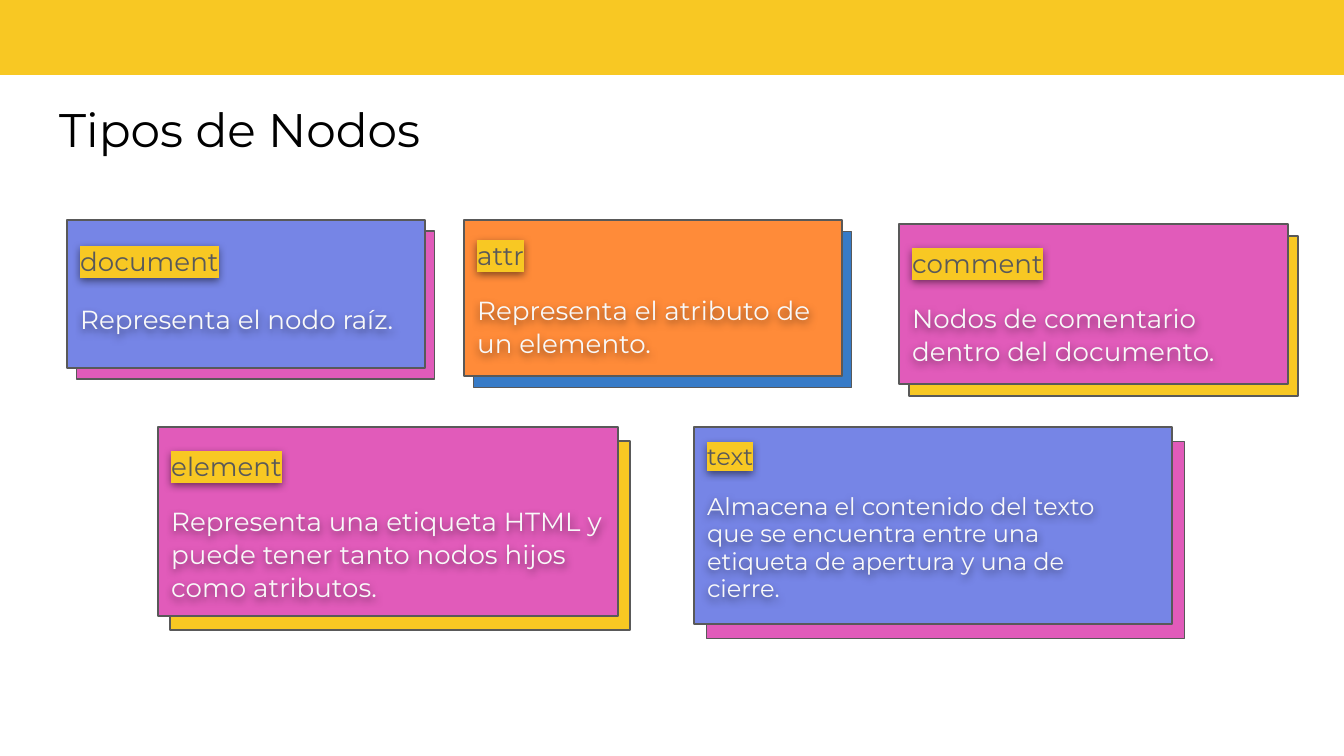
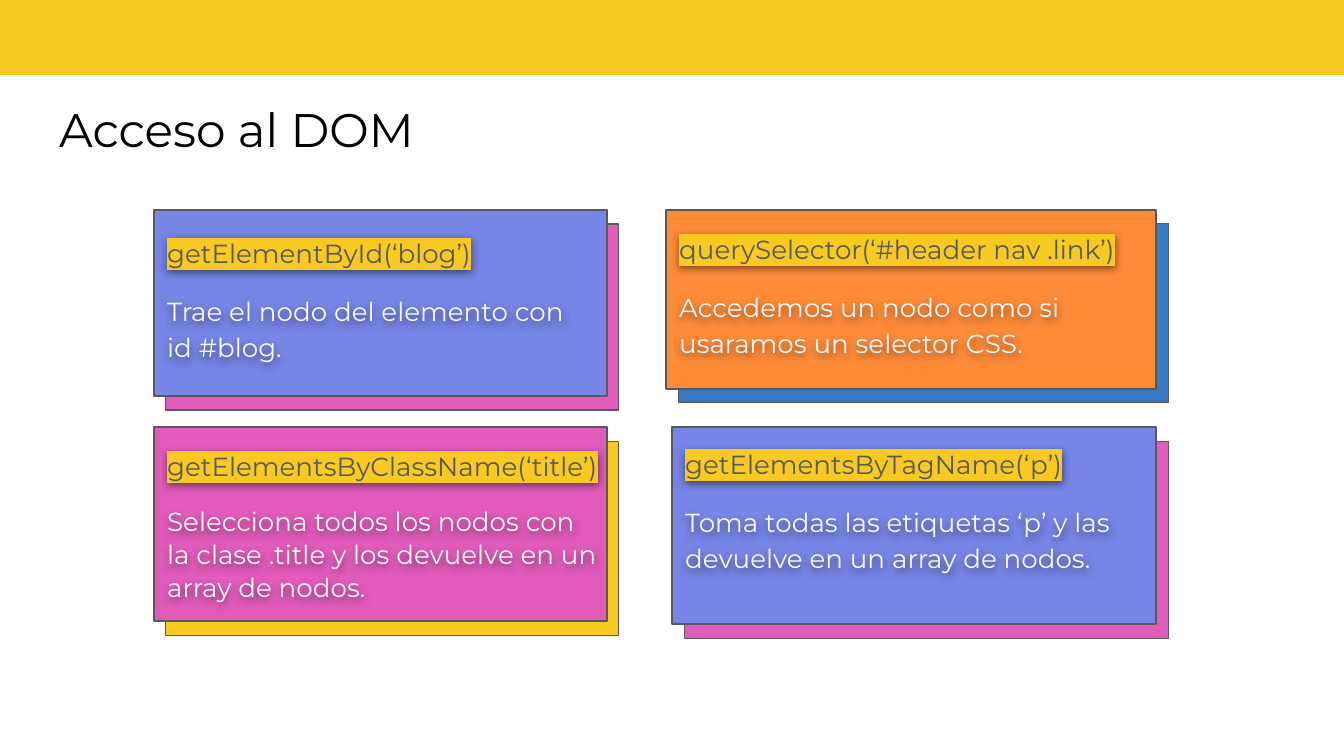
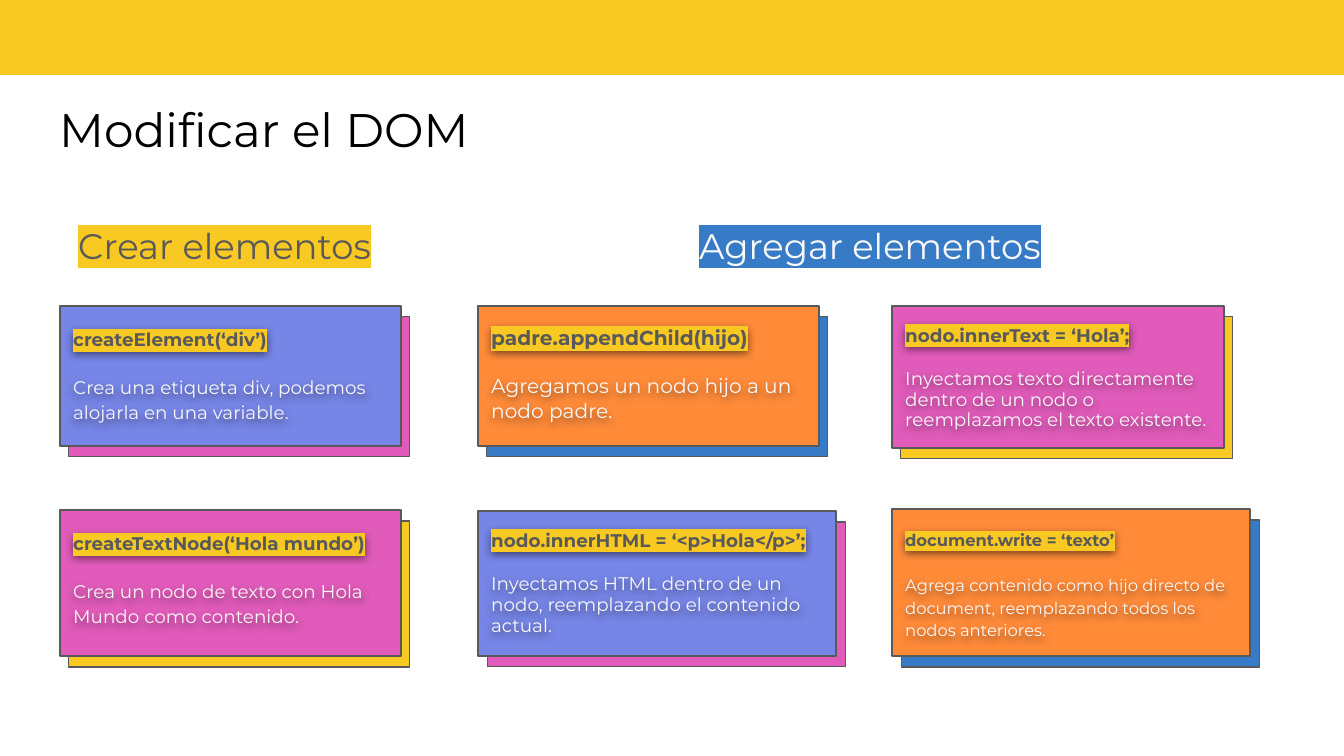
from lxml import etree
from pptx import Presentation
from pptx.dml.color import RGBColor
from pptx.enum.shapes import MSO_SHAPE
from pptx.oxml.ns import qn
from pptx.util import Pt

RECTANGLE = MSO_SHAPE.RECTANGLE
PIXEL = 914400 / 134.4
FONT = "Montserrat"
YELLOW, PINK, VIOLET = "F8C823", "E15BBA", "7685E6"
ORANGE, BLUE, GRAY = "FF8B39", "377BC7", "595959"
WHITE, BLACK = "F9F9F9", "000000"
BACK_COLOR = {VIOLET: PINK, PINK: YELLOW, ORANGE: BLUE}

# Card: term, meaning, front colour, front box, text drop, text width, size, spacing
# Heading: words, box, text colour, highlight
SLIDES = [
    {"title": "Tipos de Nodos", "bold": False, "headings": [], "cards": [
        ("document", "Representa el nodo raíz.",
         VIOLET, (67, 220, 358, 148), 7, 358, 14, 1.15),
        ("element", "Representa una etiqueta HTML y puede tener tanto nodos hijos "
         "como atributos.", PINK, (158, 427, 460, 189), 8, 460, 14, 1.05),
        ("attr", "Representa el atributo de un elemento.",
         ORANGE, (464, 220, 378, 156), 4, 378, 14, 1.05),
        ("text", "Almacena el contenido del texto que se encuentra entre una "
         "etiqueta de apertura y una de cierre.",
         VIOLET, (694, 427, 478, 197), 3, 456, 12.9, 0.95),
        ("comment", "Nodos de comentario dentro del documento.",
         PINK, (899, 224, 389, 160), 8, 389, 14, 1.05),
    ]},
    {"title": "Acceso al DOM", "bold": False, "headings": [], "cards": [
        ("getElementById(‘blog’)", "Trae el nodo del elemento con id #blog.",
         VIOLET, (154, 210, 453, 186), 9, 453, 14, 1.15),
        ("getElementsByClassName(‘title’)", "Selecciona todos los nodos con la "
         "clase .title y los devuelve en un array de nodos.",
         PINK, (154, 427, 453, 194), 8, 461, 14, 1.05),
        ("querySelector(‘#header nav .link’)", "Accedemos un nodo como si usaramos "
         "un selector CSS.", ORANGE, (666, 210, 490, 179), 5, 490, 14, 1.15),
        ("getElementsByTagName(‘p’)", "Toma todas las etiquetas ‘p’ y las devuelve "
         "en un array de nodos.", VIOLET, (672, 427, 484, 197), 3, 461, 14, 1.15),
    ]},
    {"title": "Modificar el DOM", "bold": True, "headings": [
        ("Crear elementos", (65, 204, 333, 70), GRAY, YELLOW),
        ("Agregar elementos", (686, 204, 384, 70), WHITE, BLUE),
    ], "cards": [
        ("createElement(‘div’)", "Crea una etiqueta div, podemos alojarla en una "
         "variable.", VIOLET, (60, 306, 341, 140), 6, 341, 9.8, 1.15),
        ("createTextNode(‘Hola mundo’)", "Crea un nodo de texto con Hola Mundo como "
         "contenido.", PINK, (60, 510, 341, 146), 6, 347, 9.8, 1.15),
        ("padre.appendChild(hijo)", "Agregamos un nodo hijo a un nodo padre.",
         ORANGE, (478, 306, 341, 140), 5, 333, 10.8, 1.05),
        ("nodo.innerHTML = ‘<p>Hola</p>’;", "Inyectamos HTML dentro de un nodo, "
         "reemplazando el contenido actual.",
         VIOLET, (478, 511, 358, 145), 6, 358, 9.8, 0.95),
        ("nodo.innerText = ‘Hola’;", "Inyectamos texto directamente dentro de un "
         "nodo o reemplazamos el texto existente.",
         PINK, (892, 306, 332, 142), 6, 337, 9.8, 0.95),
        ("document.write = ‘texto’", "Agrega contenido como hijo directo de "
         "document, reemplazando todos los nodos anteriores.",
         ORANGE, (892, 509, 358, 147), 5, 355, 8.8, 1.15),
    ]},
]


def px(length):
    return round(length * PIXEL)


def rgb(color):
    return RGBColor.from_string(color)


def add_box(slide, box, fill, line=None):
    rect = slide.shapes.add_shape(RECTANGLE, *map(px, box))
    rect.shadow.inherit = False
    rect.fill.solid()
    rect.fill.fore_color.rgb = rgb(fill)
    if line:
        rect.line.color.rgb = rgb(line)
        rect.line.width = Pt(0.75)
    else:
        rect.line.fill.background()


def add_text_frame(slide, box):
    textbox = slide.shapes.add_textbox(*map(px, box))
    frame = textbox.text_frame
    frame.word_wrap = True
    frame.margin_left = frame.margin_right = px(13.44)
    frame.margin_top = frame.margin_bottom = px(13.44)
    return textbox, frame


def write(paragraph, words, size, color, bold=False, spacing=None, highlight=None):
    run = paragraph.add_run()
    run.text = words
    font = paragraph.font
    font.name, font.size, font.bold = FONT, Pt(size), bold
    font.color.rgb = rgb(color)
    if spacing:
        paragraph.line_spacing = spacing
    if highlight:
        mark = etree.SubElement(run._r.get_or_add_rPr(), qn("a:highlight"))
        etree.SubElement(mark, qn("a:srgbClr"), val=highlight)


def add_soft_shadow(textbox):
    effects = etree.SubElement(textbox._element.spPr, qn("a:effectLst"))
    shadow = etree.SubElement(effects, qn("a:outerShdw"), blurRad="57150",
                              dist="19050", dir="5400000", algn="bl", rotWithShape="0")
    color = etree.SubElement(shadow, qn("a:srgbClr"), val=BLACK)
    etree.SubElement(color, qn("a:alpha"), val="50000")


def add_card(slide, card, bold):
    term, meaning, color, box, drop, text_width, size, spacing = card
    left, top, width, height = box
    # The back panel is shifted in proportion to the front one
    back = (left + 0.026 * width, top + 0.075 * height, width, height)
    add_box(slide, back, BACK_COLOR[color], GRAY)
    add_box(slide, box, color, GRAY)

    textbox, frame = add_text_frame(slide, (left, top + drop, text_width, height - 8))
    write(frame.paragraphs[0], term, size, GRAY, bold, spacing, YELLOW)
    explanation = frame.add_paragraph()
    explanation.space_before = explanation.space_after = Pt(12)
    write(explanation, meaning, size, WHITE, spacing=spacing)
    add_soft_shadow(textbox)


prs = Presentation()
prs.slide_width, prs.slide_height = px(1344), px(756)

for content in SLIDES:
    slide = prs.slides.add_slide(prs.slide_layouts[6])

    # Top band and title
    add_box(slide, (-1, -7, 1348, 82), YELLOW)
    _, title = add_text_frame(slide, (46, 87, 1253, 85))
    write(title.paragraphs[0], content["title"], 25.2, BLACK)

    # Column headings
    for words, box, color, highlight in content["headings"]:
        _, heading = add_text_frame(slide, box)
        write(heading.paragraphs[0], words, 19, color, False, 1.15, highlight)

    for card in content["cards"]:
        add_card(slide, card, content["bold"])

prs.save("out.pptx")
